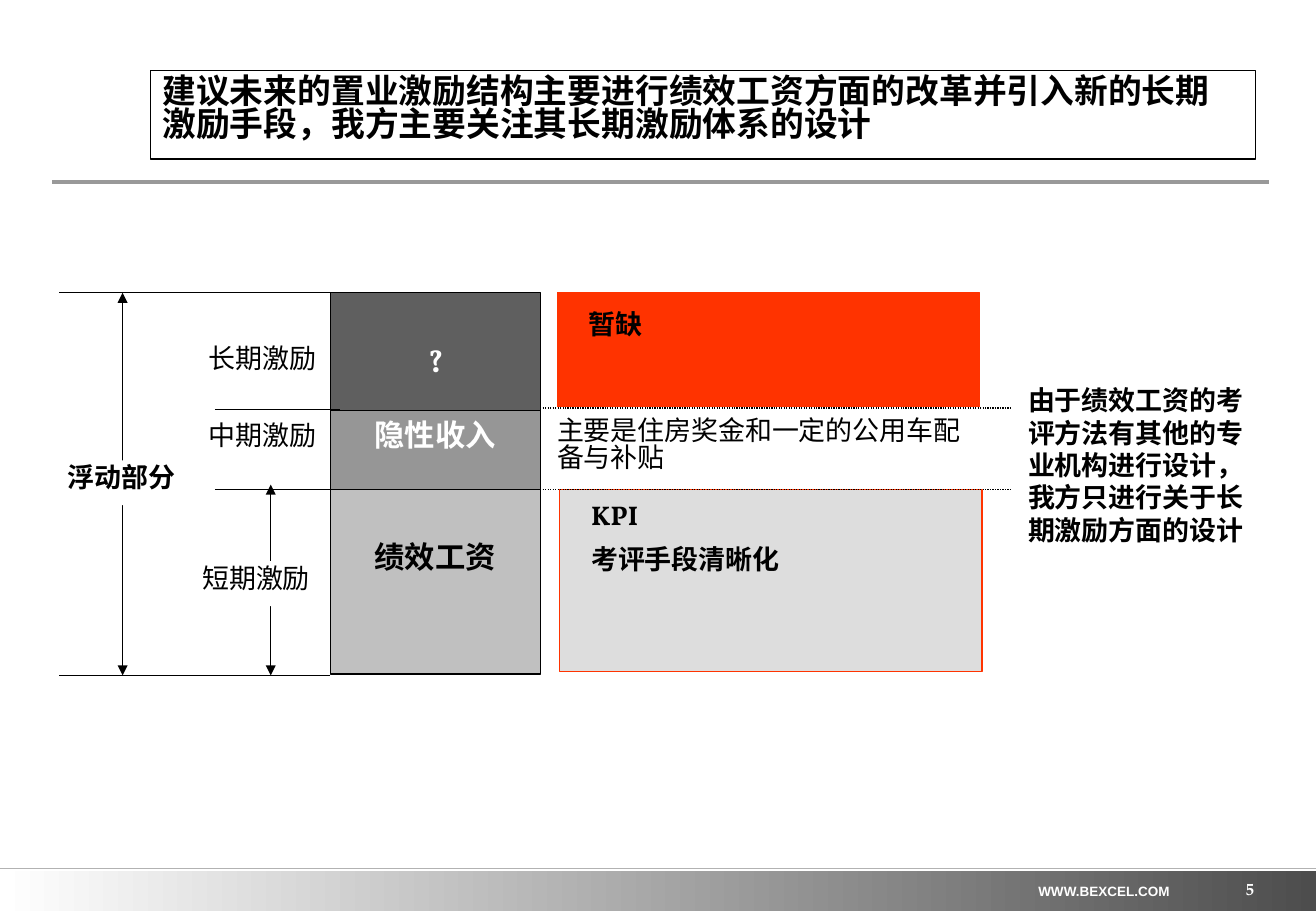
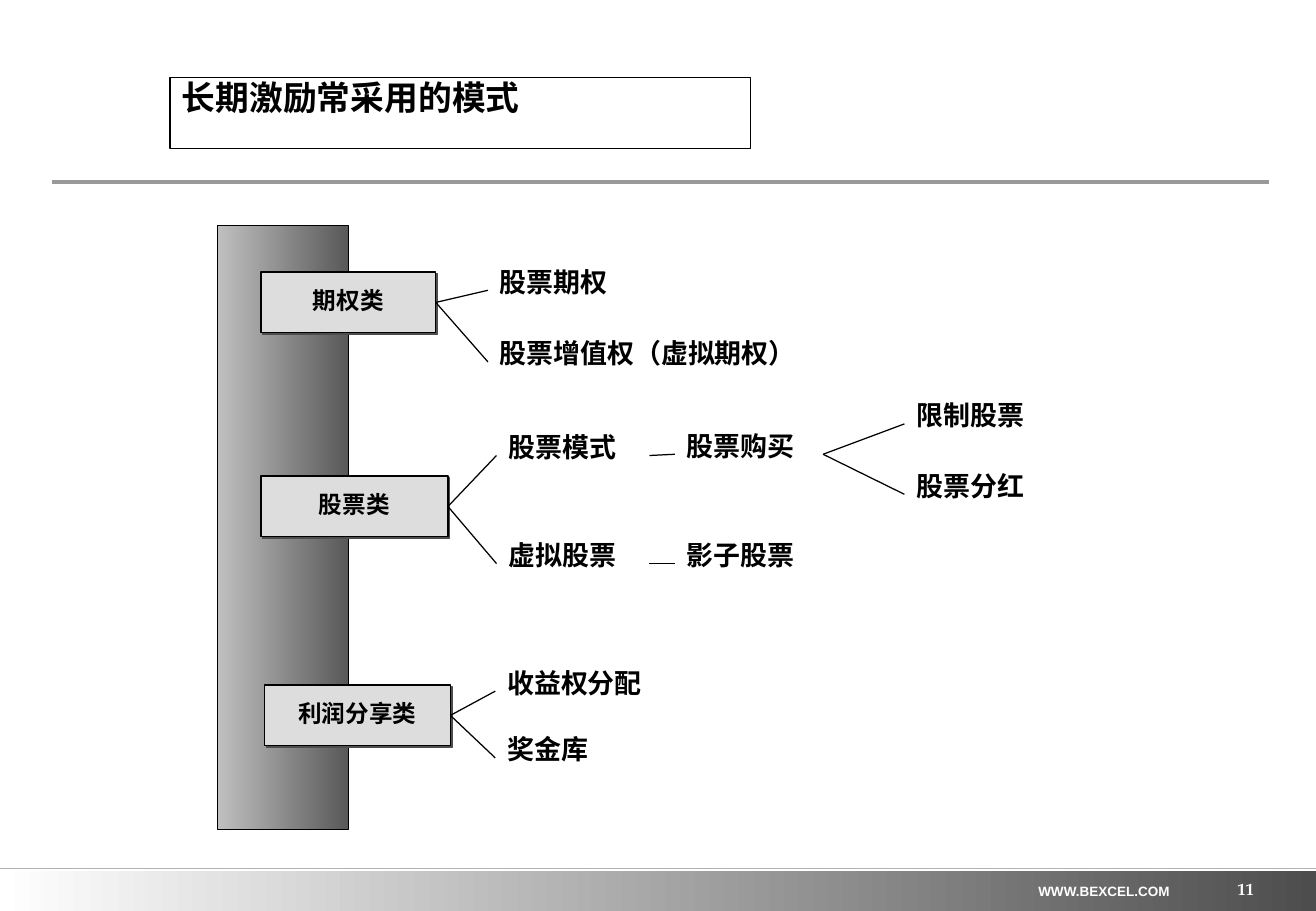
from lxml.etree import SubElement
from pptx import Presentation
from pptx.dml.color import RGBColor
from pptx.enum.dml import MSO_LINE
from pptx.enum.shapes import MSO_CONNECTOR, MSO_SHAPE
from pptx.enum.text import MSO_ANCHOR, PP_ALIGN
from pptx.oxml.ns import qn
from pptx.util import Inches, Pt

BLACK, WHITE, RED, PALE = "000000", "FFFFFF", "FF3300", "DDDDDD"
SANS, SERIF, PAGE_FONT, CHINESE = "Arial", "Vollkorn", "TeX Gyre Pagella", "Noto Sans CJK SC"
PAGE_WIDTH, PAGE_HEIGHT = 10.84, 7.5
INSETS, NO_INSETS = (0.1, 0.05, 0.1, 0.05), (0, 0, 0, 0)
LEFT, CENTER, RIGHT = PP_ALIGN.LEFT, PP_ALIGN.CENTER, PP_ALIGN.RIGHT

STRUCTURE_TITLE = "建议未来的置业激励结构主要进行绩效工资方面的改革并引入新的长期激励手段，我方主要关注其长期激励体系的设计"
SIDE_NOTE = "由于绩效工资的考评方法有其他的专业机构进行设计，我方只进行关于长期激励方面的设计"
TOP, LONG_END, MIDDLE_END, BOTTOM = 2.41, 3.37, 4.03, 5.56
PAY_BARS = [
    ("?", TOP, 0.97, "5F5F5F", WHITE, 0.46),
    ("隐性收入", 3.38, 0.65, "969696", WHITE, 0.1),
    ("绩效工资", MIDDLE_END, 1.52, "C0C0C0", BLACK, 0.45),
]
MEASURES = [
    (["KPI", "考评手段清晰化"], (4.61, MIDDLE_END, 3.48, 1.5), PALE, 0.12),
    (["暂缺"], (4.59, TOP, 3.48, 0.94), RED, 0.17),
]
DOTTED_LEVELS = [3.36, MIDDLE_END]
LEVELS = [(0.49, 2.84, TOP), (1.77, 2.8, LONG_END), (1.77, 2.8, MIDDLE_END), (0.49, 2.72, BOTTOM)]
SPANS = [(2.23, 3.99), (1.01, TOP)]
SPAN_LABELS = [
    ("长期激励", 1.62, 2.81, False),
    ("中期激励", 1.62, 3.44, False),
    ("短期激励", 1.57, 4.62, False),
    ("浮动部分", 0.46, 3.79, True),
]

MODES_TITLE = "长期激励常采用的模式"
CATEGORY_HEIGHT, MODE_HEIGHT = 0.5, 0.42
CATEGORIES = [
    ("期权类", 2.15, 2.24, 1.44),
    ("股票类", 2.15, 3.92, 1.54),
    ("利润分享类", 2.18, 5.64, 1.53),
]
MODES = [
    ("股票期权", "期权类", 4.02, 2.18, 1.26),
    ("股票增值权（虚拟期权）", "期权类", 4.02, 2.77, 3.05),
    ("股票模式", "股票类", 4.09, 3.54, 1.26),
    ("虚拟股票", "股票类", 4.09, 4.43, 1.26),
    ("股票购买", "股票模式", 5.56, 3.53, 1.22),
    ("影子股票", "虚拟股票", 5.56, 4.43, 1.26),
    ("限制股票", "股票购买", 7.45, 3.28, 1.35),
    ("股票分红", "股票购买", 7.45, 3.86, 1.35),
    ("收益权分配", "利润分享类", 4.08, 5.48, 1.42),
    ("奖金库", "利润分享类", 4.08, 6.03, 1.42),
]


def color(value):
    return RGBColor.from_string(value)


def write(shape, lines, size, font=SANS, ink=BLACK, bold=True, align=LEFT, insets=INSETS,
          anchor=MSO_ANCHOR.TOP, wrap=True, spacing=0.83):
    frame = shape.text_frame
    frame.word_wrap = wrap
    frame.vertical_anchor = anchor
    frame.margin_left, frame.margin_top, frame.margin_right, frame.margin_bottom = map(Inches, insets)
    for index, line in enumerate(lines):
        paragraph = frame.add_paragraph() if index else frame.paragraphs[0]
        paragraph.alignment = align
        paragraph.line_spacing = spacing
        if index:
            paragraph.space_before = Pt(10)
        run = paragraph.add_run()
        run.text = line
        run.font.size = Pt(size)
        run.font.bold = bold
        run.font.name = font
        run.font.color.rgb = color(ink)
        SubElement(run.font._element, qn("a:ea"), typeface=CHINESE)


def add_text(slide, box, lines, size, **style):
    write(slide.shapes.add_textbox(*map(Inches, box)), lines, size, **style)


def add_box(slide, box, fill, line=BLACK):
    shape = slide.shapes.add_shape(MSO_SHAPE.RECTANGLE, *map(Inches, box))
    shape.shadow.inherit = False
    if isinstance(fill, tuple):
        shape.fill.gradient()
        shape.fill.gradient_angle = 0
        for stop, value, position in zip(shape.fill.gradient_stops, fill, (0, 1)):
            stop.color.rgb = color(value)
            stop.position = position
    else:
        shape.fill.solid()
        shape.fill.fore_color.rgb = color(fill)
    if line:
        shape.line.color.rgb = color(line)
        shape.line.width = Pt(0.75)
    else:
        shape.line.fill.background()
    return shape


def add_line(slide, start, end, ink=BLACK, width=0.75, dotted=False, arrows=False):
    connector = slide.shapes.add_connector(MSO_CONNECTOR.STRAIGHT, *map(Inches, start + end))
    connector.line.color.rgb = color(ink)
    connector.line.width = Pt(width)
    if dotted:
        connector.line.dash_style = MSO_LINE.ROUND_DOT
    properties = connector._element.spPr
    if arrows:
        for tag in ("a:headEnd", "a:tailEnd"):
            SubElement(properties.find(qn("a:ln")), qn(tag), type="triangle")
    SubElement(properties, qn("a:effectLst"))


def add_hard_shadow(shape):
    effects = shape._element.spPr.find(qn("a:effectLst"))
    shadow = SubElement(effects, qn("a:outerShdw"), blurRad="0", dist=str(Pt(1.4)),
                        dir="2700000", algn="tl", rotWithShape="0")
    SubElement(shadow, qn("a:srgbClr"), val="4D4D4D")


def add_page(presentation, title, title_box, number):
    slide = presentation.slides.add_slide(presentation.slide_layouts[6])
    add_box(slide, (0, 7.17, PAGE_WIDTH, 0.33), (WHITE, "4D4D4D"), None)
    add_line(slide, (0.43, 1.5), (10.45, 1.5), "999999", 2.5)
    add_line(slide, (0, 7.15), (PAGE_WIDTH, 7.15), "B2B2B2", 1)
    add_text(slide, (8.45, 7.22, 1.29, 0.24), ["WWW.BEXCEL.COM"], 8, ink=WHITE,
             align=CENTER, wrap=False, spacing=1)
    add_text(slide, (8.07, 7.07, 2.26, 0.33), [str(number)], 10, font=PAGE_FONT, ink=WHITE,
             align=RIGHT, insets=NO_INSETS, anchor=MSO_ANCHOR.BOTTOM, spacing=1)
    write(add_box(slide, title_box, WHITE), [title], 20, font=CHINESE)
    return slide


def build_structure(presentation):
    slide = add_page(presentation, STRUCTURE_TITLE, (1.24, 0.58, 9.1, 0.73), 5)
    for lines, box, fill, inset in MEASURES:
        write(add_box(slide, box, fill, RED), lines, 16, font=SERIF, insets=(0.26, inset, 0.1, 0.05))
    add_text(slide, (4.49, 3.4, 3.68, 0.64), ["主要是住房奖金和一定的公用车配备与补贴"], 16,
             font=SERIF, bold=False)
    for level in DOTTED_LEVELS:
        add_line(slide, (4.04, level), (8.33, level), dotted=True)
    for label, top, height, fill, ink, inset in PAY_BARS:
        bar = add_box(slide, (2.72, top, 1.73, height), fill)
        write(bar, [label], 18, font=SERIF, ink=ink, align=CENTER, insets=(0.1, inset, 0.1, 0.05))
    for left, right, level in LEVELS:
        add_line(slide, (left, level), (right, level))
    for x, top in SPANS:
        add_line(slide, (x, top), (x, BOTTOM), arrows=True)
    for label, left, top, bold in SPAN_LABELS:
        write(add_box(slide, (left, top, 1.08, 0.37), WHITE, None), [label], 16, font=SERIF,
              bold=bold, align=CENTER, wrap=False)
    add_text(slide, (8.37, 3.16, 1.97, 1.6), [SIDE_NOTE], 16, font=CHINESE, align=CENTER,
             insets=NO_INSETS, spacing=1)


def build_modes(presentation):
    slide = add_page(presentation, MODES_TITLE, (1.4, 0.64, 4.78, 0.58), 11)
    add_box(slide, (1.79, 1.86, 1.08, 4.97), ("C0C0C0", "595959"))
    exits = {}
    for label, left, top, width in CATEGORIES:
        category = add_box(slide, (left, top, width, CATEGORY_HEIGHT), PALE)
        add_hard_shadow(category)
        write(category, [label], 14, font=PAGE_FONT, align=CENTER, anchor=MSO_ANCHOR.MIDDLE)
        exits[label] = (left + width, top + CATEGORY_HEIGHT / 2)
    for label, parent, left, top, width in MODES:
        add_text(slide, (left, top, width, MODE_HEIGHT), [label], 16)
        middle = top + MODE_HEIGHT / 2
        add_line(slide, exits[parent], (left, middle))
        exits[label] = (left + width, middle)


def main():
    presentation = Presentation()
    presentation.slide_width = Inches(PAGE_WIDTH)
    presentation.slide_height = Inches(PAGE_HEIGHT)
    build_structure(presentation)
    build_modes(presentation)
    presentation.save("out.pptx")


if __name__ == "__main__":
    main()
